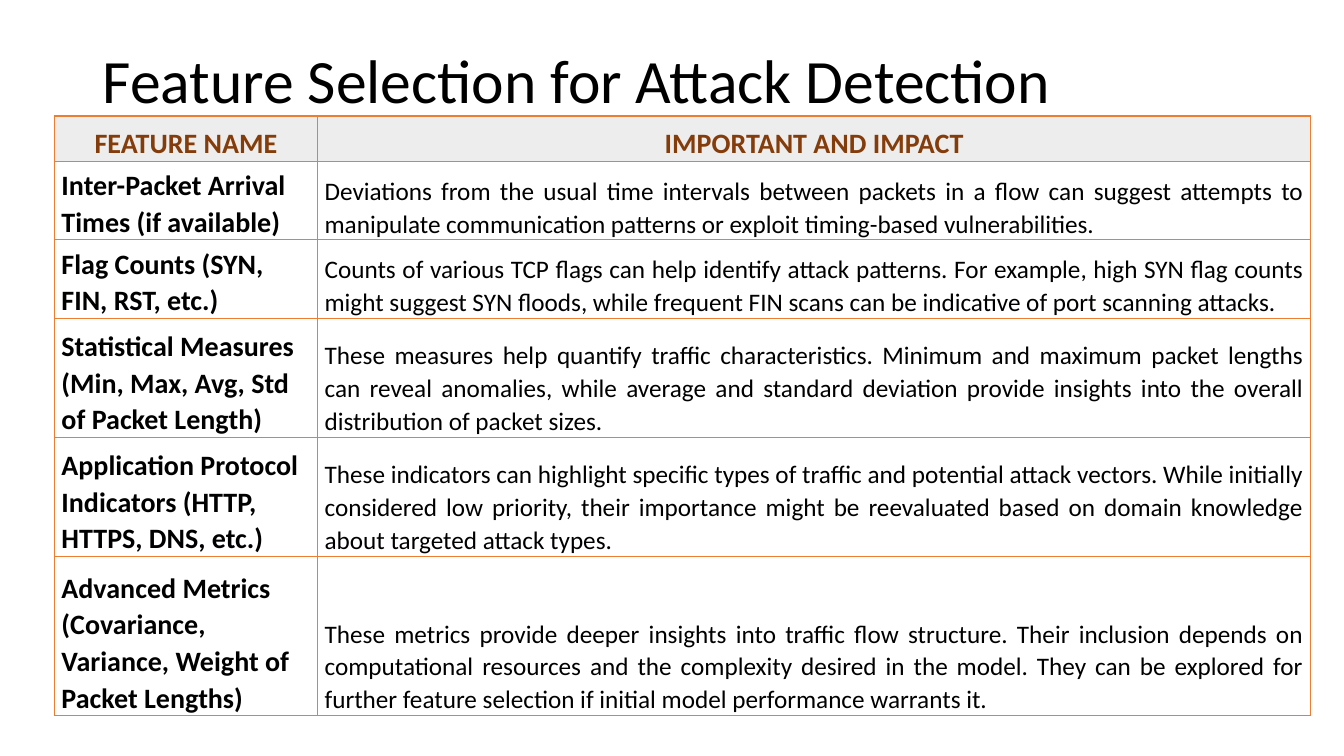
"""Build the slide on feature selection for attack detection."""
import pptx
import pptx.dml.color
import pptx.enum.text
import pptx.oxml
import pptx.oxml.ns
import pptx.util

Inches = pptx.util.Inches
Pt = pptx.util.Pt
RGBColor = pptx.dml.color.RGBColor
Align = pptx.enum.text.PP_ALIGN
Anchor = pptx.enum.text.MSO_ANCHOR

TITLE = "Feature Selection for Attack Detection"
HEADER = ("FEATURE NAME", "IMPORTANT AND IMPACT")
FEATURES = [
    ("Inter-Packet Arrival Times (if available)",
     "Deviations from the usual time intervals between packets in a flow can suggest "
     "attempts to manipulate communication patterns or exploit timing-based vulnerabilities."),
    ("Flag Counts (SYN, FIN, RST, etc.)",
     "Counts of various TCP flags can help identify attack patterns. For example, high SYN "
     "flag counts might suggest SYN floods, while frequent FIN scans can be indicative of "
     "port scanning attacks."),
    ("Statistical Measures (Min, Max, Avg, Std of Packet Length)",
     "These measures help quantify traffic characteristics. Minimum and maximum packet "
     "lengths can reveal anomalies, while average and standard deviation provide insights "
     "into the overall distribution of packet sizes."),
    ("Application Protocol Indicators (HTTP, HTTPS, DNS, etc.)",
     "These indicators can highlight specific types of traffic and potential attack vectors. "
     "While initially considered low priority, their importance might be reevaluated based "
     "on domain knowledge about targeted attack types."),
    ("Advanced Metrics (Covariance, Variance, Weight of Packet Lengths)",
     "These metrics provide deeper insights into traffic flow structure. Their inclusion "
     "depends on computational resources and the complexity desired in the model. They can "
     "be explored for further feature selection if initial model performance warrants it."),
]
COLUMN_WIDTHS = (2.61, 9.85)
ROW_HEIGHTS = (0.45, 0.78, 0.78, 1.18, 1.18, 1.58)

FONT = "Calibri"
BLACK = RGBColor(0x00, 0x00, 0x00)
BROWN = RGBColor(0x84, 0x3C, 0x0B)
ORANGE = RGBColor(0xED, 0x7D, 0x31)
PALE_GRAY = RGBColor(0xED, 0xED, 0xED)


def write(text_frame, text, size, color, bold, alignment, line_spacing):
    """Put one formatted paragraph into a text frame."""
    text_frame.text = text
    paragraph = text_frame.paragraphs[0]
    paragraph.alignment = alignment
    paragraph.line_spacing = line_spacing
    font = paragraph.runs[0].font
    font.name, font.size, font.bold = FONT, Pt(size), bold
    font.color.rgb = color
    return paragraph


def add_borders(cell):
    """Draw a thin orange line on each side of a cell."""
    properties = cell._tc.get_or_add_tcPr()
    for side in ("lnL", "lnR", "lnT", "lnB"):
        properties.append(pptx.oxml.parse_xml(
            f'<a:{side} {pptx.oxml.ns.nsdecls("a")} w="{Pt(1)}"><a:solidFill>'
            f'<a:srgbClr val="{ORANGE}"/></a:solidFill></a:{side}>'))


def add_title(slide):
    """Add the slide title."""
    box = slide.shapes.add_textbox(Inches(0.92), Inches(0.4), Inches(11.5), Inches(0.85))
    box.text_frame.word_wrap = True
    box.text_frame.vertical_anchor = Anchor.MIDDLE
    write(box.text_frame, TITLE, 44, BLACK, False, Align.LEFT, 0.9)


def add_feature_table(slide):
    """Add the table of features and their impact."""
    rows = [HEADER, *FEATURES]
    table = slide.shapes.add_table(
        len(rows), len(HEADER), Inches(0.54), Inches(1.15),
        Inches(sum(COLUMN_WIDTHS)), Inches(sum(ROW_HEIGHTS))).table
    table.first_row = table.horz_banding = False
    for column, width in zip(table.columns, COLUMN_WIDTHS):
        column.width = Inches(width)
    for row, height in zip(table.rows, ROW_HEIGHTS):
        row.height = Inches(height)

    header_style = (20, BROWN, True, Align.CENTER)
    body_styles = ((20, BLACK, True, Align.LEFT), (18, BLACK, False, Align.JUSTIFY))
    for row_index, texts in enumerate(rows):
        for column_index, text in enumerate(texts):
            cell = table.cell(row_index, column_index)
            is_header = row_index == 0
            style = header_style if is_header else body_styles[column_index]
            paragraph = write(cell.text_frame, text, *style, 1.07)
            paragraph.space_after = Pt(8)
            cell.vertical_anchor = Anchor.BOTTOM
            cell.margin_left = cell.margin_right = Inches(0.07)
            cell.margin_top = cell.margin_bottom = 0
            add_borders(cell)
            if is_header:
                cell.fill.solid()
                cell.fill.fore_color.rgb = PALE_GRAY
            else:
                cell.fill.background()


def main():
    """Create and save the presentation."""
    presentation = pptx.Presentation()
    presentation.slide_width = Inches(13.33)
    presentation.slide_height = Inches(7.5)
    slide = presentation.slides.add_slide(presentation.slide_layouts[6])
    add_title(slide)
    add_feature_table(slide)
    presentation.save("out.pptx")


if __name__ == "__main__":
    main()
